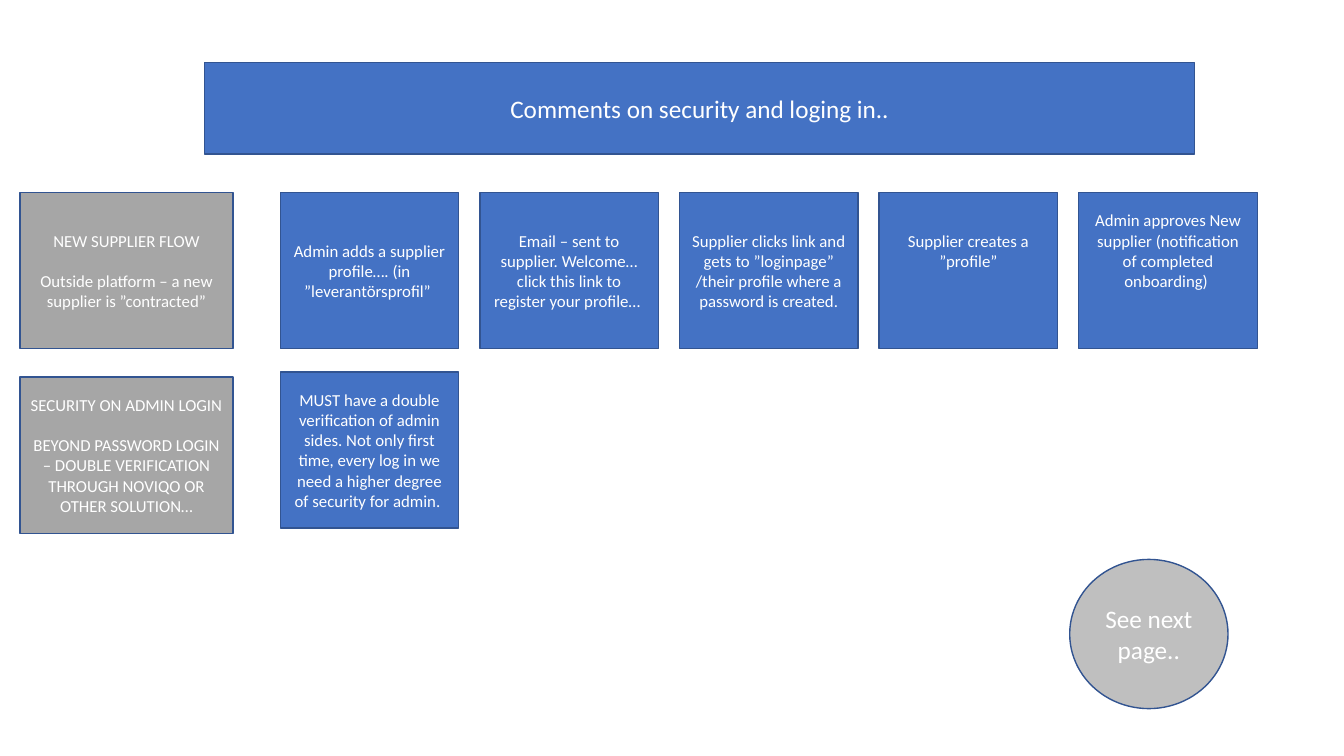
from pptx import Presentation
from pptx.dml.color import RGBColor
from pptx.enum import shapes, text
from pptx.util import Inches, Pt

HEADING = "Comments on security and loging in.."
TOPICS = [  # top, paragraphs
    (1.91, ["NEW SUPPLIER FLOW",
            "Outside platform – a new supplier is ”contracted”"]),
    (3.74, ["SECURITY ON ADMIN LOGIN",
            "BEYOND PASSWORD LOGIN – DOUBLE VERIFICATION THROUGH NOVIQO OR OTHER SOLUTION…"]),
]
SUPPLIER_STEPS = [  # wording, lines of room kept free below it
    ("Admin adds a supplier profile…. (in ”leverantörsprofil” ", 0),
    ("Email – sent to supplier. Welcome… click this link to register your profile… ", 0),
    ("Supplier clicks link and gets to ”loginpage” /their profile where a password is created.", 0),
    ("Supplier creates a ”profile”", 2),
    ("Admin approves New supplier (notification of completed onboarding) ", 2),
]
ADMIN_RULE = ("MUST have a double verification of admin sides. Not only first time, "
              "every log in we need a higher degree of security for admin. ")
NEXT_PAGE = "See next page.."

COLORS = {"step": "4472C4", "topic": "A6A6A6", "next": "BFBFBF",
          "outline": "325491", "text": "FFFFFF"}
FONT = "Calibri"
LINE_HEIGHT = 0.2
BOX_HEIGHT = 1.55
TOPIC_LEFT, TOPIC_WIDTH = 0.2, 2.11
STEP_LEFT, STEP_WIDTH, STEP_PITCH = 2.78, 1.77, 1.98
FLOW_TOP, RULE_TOP = 1.91, 3.69


def style(box, fill, paragraphs, size=12, free_lines=0):
    """Colour a box and set its centred text, one blank line's height between paragraphs."""
    box.fill.solid()
    box.fill.fore_color.rgb = RGBColor.from_string(COLORS[fill])
    box.line.color.rgb = RGBColor.from_string(COLORS["outline"])
    box.line.width = Pt(1)
    frame = box.text_frame
    frame.word_wrap = True
    frame.auto_size = text.MSO_AUTO_SIZE.NONE
    frame.vertical_anchor = text.MSO_ANCHOR.MIDDLE
    frame.margin_bottom = Inches(0.05 + free_lines * LINE_HEIGHT)
    for i, wording in enumerate(paragraphs):
        paragraph = frame.add_paragraph() if i else frame.paragraphs[0]
        paragraph.alignment = text.PP_ALIGN.CENTER
        paragraph.space_before = Inches(LINE_HEIGHT if i else 0)
        run = paragraph.add_run()
        run.text = wording
        run.font.name = FONT
        run.font.size = Pt(size)
        run.font.color.rgb = RGBColor.from_string(COLORS["text"])


def add_box(slide, left, top, width, height, fill, paragraphs,
            kind=shapes.MSO_SHAPE.RECTANGLE, **options):
    box = slide.shapes.add_shape(kind, *map(Inches, (left, top, width, height)))
    box.shadow.inherit = False
    style(box, fill, paragraphs, **options)


def main():
    prs = Presentation()
    prs.slide_width, prs.slide_height = Inches(13.33), Inches(7.5)
    slide = prs.slides.add_slide(prs.slide_layouts[5])

    heading = slide.shapes.title
    heading.left, heading.top = Inches(2.03), Inches(0.62)
    heading.width, heading.height = Inches(9.82), Inches(0.91)
    style(heading, "step", [HEADING], size=18)

    for top, paragraphs in TOPICS:
        add_box(slide, TOPIC_LEFT, top, TOPIC_WIDTH, BOX_HEIGHT, "topic", paragraphs)
    for i, (wording, free_lines) in enumerate(SUPPLIER_STEPS):
        add_box(slide, STEP_LEFT + i * STEP_PITCH, FLOW_TOP, STEP_WIDTH, BOX_HEIGHT,
                "step", [wording], free_lines=free_lines)
    add_box(slide, STEP_LEFT, RULE_TOP, STEP_WIDTH, BOX_HEIGHT, "step", [ADMIN_RULE])
    add_box(slide, 10.61, 5.55, 1.57, 1.48, "next", [NEXT_PAGE],
            kind=shapes.MSO_SHAPE.OVAL, size=18)

    prs.save("out.pptx")


if __name__ == "__main__":
    main()
